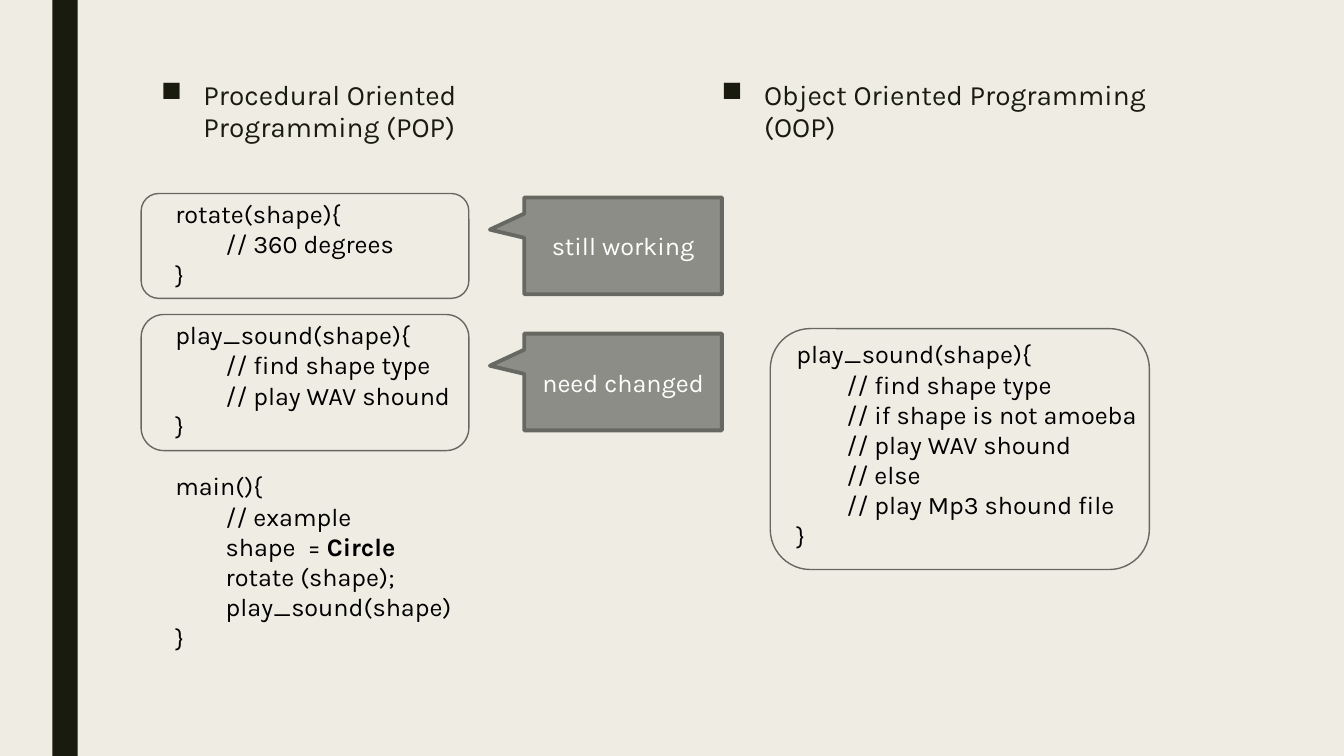
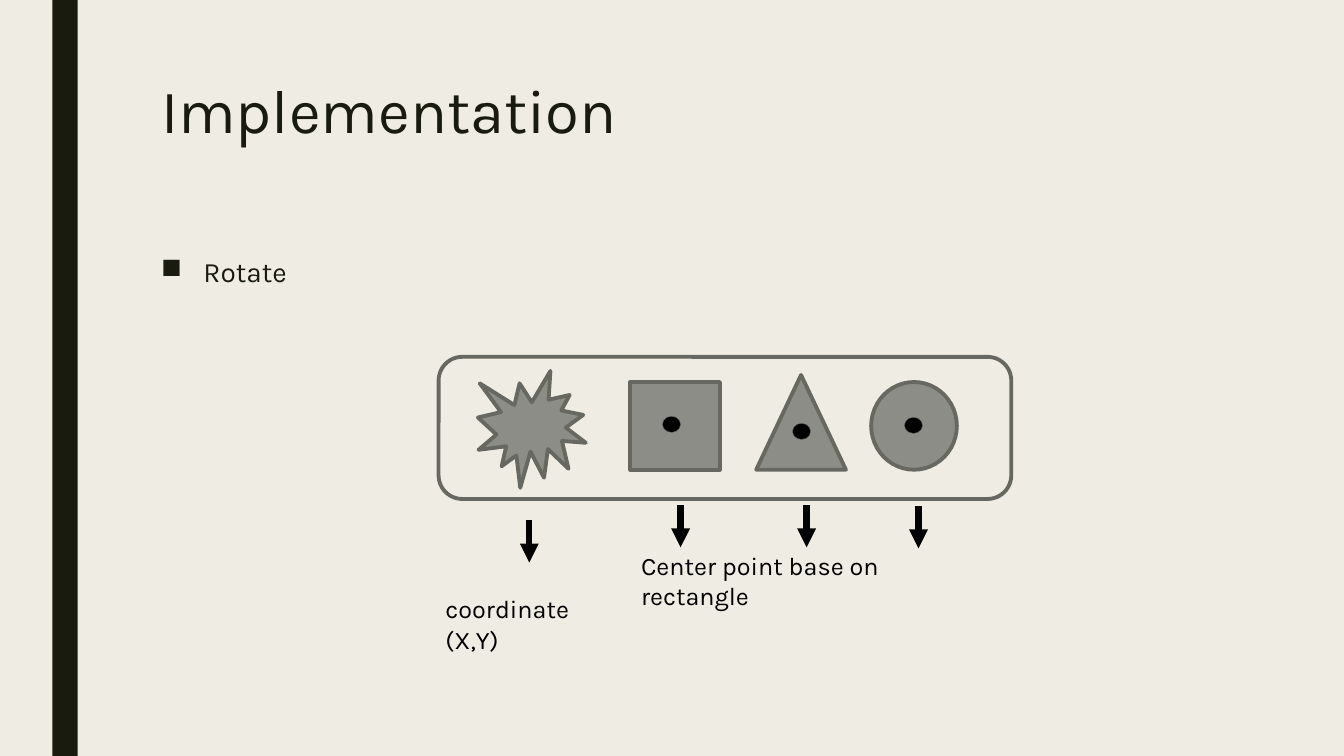
"""Build two slides on procedural and object oriented programming."""
from dataclasses import dataclass
from typing import Optional

from lxml import etree
from pptx import Presentation
from pptx.dml.color import RGBColor
from pptx.enum.shapes import MSO_CONNECTOR, MSO_SHAPE
from pptx.enum.text import MSO_ANCHOR, PP_ALIGN
from pptx.oxml.ns import qn
from pptx.util import Inches, Pt

CREAM = RGBColor(0xEF, 0xED, 0xE3)
DARK = RGBColor(0x19, 0x1B, 0x0E)
GREY = RGBColor(0x8C, 0x8D, 0x86)
OUTLINE = RGBColor(0x68, 0x68, 0x63)
BLACK = RGBColor(0, 0, 0)
WHITE = RGBColor(0xFF, 0xFF, 0xFF)

FONT = "Karla"
TITLE_SIZE, BULLET_SIZE, TEXT_SIZE = 44, 20, 18
THIN, THICK, HAIRLINE, ARROW = 1, 2.75, 0.25, 4.5
CODE_LINE_HEIGHT = 21.6

RECTANGLE = MSO_SHAPE.RECTANGLE
ROUNDED = MSO_SHAPE.ROUNDED_RECTANGLE
CALLOUT = MSO_SHAPE.RECTANGULAR_CALLOUT
TRIANGLE = MSO_SHAPE.ISOSCELES_TRIANGLE
OVAL = MSO_SHAPE.OVAL
BURST = MSO_SHAPE.EXPLOSION1
STRAIGHT = MSO_CONNECTOR.STRAIGHT
MIDDLE = MSO_ANCHOR.MIDDLE
CENTER = PP_ALIGN.CENTER


@dataclass(frozen=True)
class Box:
    """A place on the slide, in inches."""

    left: float
    top: float
    width: float
    height: float

    def lengths(self) -> tuple:
        """Return the place as lengths."""
        return tuple(Inches(value) for value in (self.left, self.top, self.width, self.height))


@dataclass(frozen=True)
class Figure:
    """A preset shape with its fill and outline."""

    preset: int
    box: Box
    fill: Optional[RGBColor] = GREY
    line_width: float = THICK


@dataclass(frozen=True)
class CodeLine:
    """A line of code, indented by depth, with an optional bold ending."""

    text: str
    depth: int = 0
    bold: str = ""
    starts_block: bool = False


POP_CODE = (
    CodeLine("rotate(shape){"),
    CodeLine("// 360 degrees", 1),
    CodeLine("}"),
    CodeLine("play_sound(shape){", starts_block=True),
    CodeLine("// find shape type", 1),
    CodeLine("// play WAV shound", 1),
    CodeLine("}"),
    CodeLine("main(){", starts_block=True),
    CodeLine("// example", 1),
    CodeLine("shape  = ", 1, bold="Circle"),
    CodeLine("rotate (shape);", 1),
    CodeLine("play_sound(shape)", 1),
    CodeLine("}"),
)
OOP_CODE = (
    CodeLine("play_sound(shape){"),
    CodeLine("// find shape type", 1),
    CodeLine("// if shape is not amoeba", 1),
    CodeLine("// play WAV shound", 1),
    CodeLine("// else", 1),
    CodeLine("// play Mp3 shound file", 1),
    CodeLine("}"),
)
CODE_FRAMES = (Box(1.4, 3.12, 3.25, 1.35), Box(1.4, 1.92, 3.25, 1.04), Box(7.64, 3.26, 3.76, 2.39))
CALLOUTS = (("still working", 1.96), ("need changed", 3.31))
ROTATED_FIGURES = (
    Figure(RECTANGLE, Box(6.25, 3.79, 0.89, 0.87)),
    Figure(TRIANGLE, Box(7.5, 3.72, 0.89, 0.94)),
    Figure(OVAL, Box(8.64, 3.79, 0.85, 0.87)),
    Figure(ROUNDED, Box(4.35, 3.54, 5.68, 1.41), fill=None),
    Figure(BURST, Box(4.74, 3.68, 1.07, 1.16)),
)
CENTER_POINTS = ((6.57, 4.13), (7.86, 4.2), (8.97, 4.14))
ARROW_STARTS = ((6.75, 5.01), (8, 5.01), (9.11, 5.02), (5.25, 5.16))
ARROW_LENGTH = 0.42
CAPTIONS = (
    ("Center point base on rectangle", Box(6.26, 5.41, 3.47, 0.7)),
    ("coordinate (X,Y)", Box(4.32, 5.84, 1.86, 0.7)),
)


def style(paragraph, size: float, color: RGBColor) -> None:
    """Set the font of a whole paragraph."""
    font = paragraph.font
    font.name, font.size = FONT, Pt(size)
    font.color.rgb = color


def add_text_frame(slide, box: Box):
    """Add a wrapping text box and return its text frame."""
    frame = slide.shapes.add_textbox(*box.lengths()).text_frame
    frame.word_wrap = True
    return frame


def add_text(slide, text: str, box: Box, size: float = TEXT_SIZE, color: RGBColor = BLACK):
    """Add a one-paragraph text box and return its paragraph."""
    paragraph = add_text_frame(slide, box).paragraphs[0]
    paragraph.text = text
    style(paragraph, size, color)
    return paragraph


def add_title(slide, text: str) -> None:
    """Add the slide title."""
    add_text(slide, text, Box(1.5, 0.75, 10.5, 1.62), TITLE_SIZE, DARK).line_spacing = 0.89


def add_bullet(slide, text: str, box: Box) -> None:
    """Add a paragraph with a square bullet."""
    paragraph = add_text(slide, text, box, BULLET_SIZE, DARK)
    properties = paragraph._p.get_or_add_pPr()
    properties.set("marL", str(Inches(0.42)))
    properties.set("indent", str(Inches(-0.42)))
    bullet = etree.Element(qn("a:buChar"), char="■")
    properties.insert(0, bullet)
    paragraph.line_spacing = 0.94
    paragraph.space_before, paragraph.space_after = Pt(10), Pt(2)


def add_code(slide, lines: tuple, box: Box) -> None:
    """Add lines of code, one paragraph each."""
    frame = add_text_frame(slide, box)
    for index, line in enumerate(lines):
        paragraph = frame.add_paragraph() if index else frame.paragraphs[0]
        paragraph.add_run().text = line.text
        if line.bold:
            run = paragraph.add_run()
            run.text = line.bold
            run.font.bold = True
        if line.depth:
            paragraph._p.get_or_add_pPr().set("marL", str(Inches(0.5 * line.depth)))
        if line.starts_block:
            paragraph.space_before = Pt(CODE_LINE_HEIGHT)
        style(paragraph, TEXT_SIZE, BLACK)


def add_figure(slide, figure: Figure):
    """Draw a preset shape and return it."""
    shape = slide.shapes.add_shape(figure.preset, *figure.box.lengths())
    shape.shadow.inherit = False
    if figure.fill is None:
        shape.fill.background()
    else:
        shape.fill.solid()
        shape.fill.fore_color.rgb = figure.fill
    if figure.line_width:
        shape.line.color.rgb = OUTLINE
        shape.line.width = Pt(figure.line_width)
    else:
        shape.line.fill.background()
    return shape


def add_callout(slide, text: str, top: float) -> None:
    """Draw a callout that points left."""
    shape = add_figure(slide, Figure(CALLOUT, Box(5.2, top, 1.96, 0.96)))
    shape.adjustments[0], shape.adjustments[1] = -0.674, -0.168
    frame = shape.text_frame
    frame.word_wrap, frame.vertical_anchor = True, MIDDLE
    paragraph = frame.paragraphs[0]
    paragraph.text, paragraph.alignment = text, CENTER
    style(paragraph, TEXT_SIZE, WHITE)


def add_down_arrow(slide, left: float, top: float) -> None:
    """Draw an arrow pointing straight down."""
    connector = slide.shapes.add_connector(
        STRAIGHT, Inches(left), Inches(top), Inches(left), Inches(top + ARROW_LENGTH)
    )
    connector.line.color.rgb = BLACK
    connector.line.width = Pt(ARROW)
    etree.SubElement(connector.line._get_or_add_ln(), qn("a:tailEnd"), type="triangle")
    etree.SubElement(connector._element.spPr, qn("a:effectLst"))


def add_slide(presentation):
    """Add a blank slide with the dark side band."""
    slide = presentation.slides.add_slide(presentation.slide_layouts[6])
    add_figure(slide, Figure(RECTANGLE, Box(0.52, 0, 0.25, 7.5), DARK, 0))
    return slide


def build_comparison(presentation) -> None:
    """Build the slide that compares the two styles."""
    slide = add_slide(presentation)
    add_bullet(slide, "Procedural Oriented Programming (POP)", Box(1.5, 0.75, 4.0, 1))
    add_bullet(slide, "Object Oriented Programming (OOP)", Box(7.06, 0.75, 4.91, 1))
    add_code(slide, POP_CODE, Box(1.64, 1.92, 4.3, 4.64))
    for box in CODE_FRAMES:
        add_figure(slide, Figure(ROUNDED, box, None, THIN))
    for text, top in CALLOUTS:
        add_callout(slide, text, top)
    add_code(slide, OOP_CODE, Box(7.8, 3.31, 4.3, 2.22))


def build_implementation(presentation) -> None:
    """Build the slide that shows how shapes rotate."""
    slide = add_slide(presentation)
    add_title(slide, "Implementation")
    add_bullet(slide, "Rotate", Box(1.5, 2.5, 10.5, 0.6))
    for figure in ROTATED_FIGURES:
        add_figure(slide, figure)
    for left, top in CENTER_POINTS:
        add_figure(slide, Figure(OVAL, Box(left, top, 0.18, 0.16), BLACK, HAIRLINE))
    for left, top in ARROW_STARTS:
        add_down_arrow(slide, left, top)
    for text, box in CAPTIONS:
        add_text(slide, text, box)


def main() -> None:
    """Build and save the presentation."""
    presentation = Presentation()
    presentation.slide_width, presentation.slide_height = Inches(13.33), Inches(7.5)
    background = presentation.slide_master.background.fill
    background.solid()
    background.fore_color.rgb = CREAM
    build_comparison(presentation)
    build_implementation(presentation)
    presentation.save("out.pptx")


if __name__ == "__main__":
    main()
